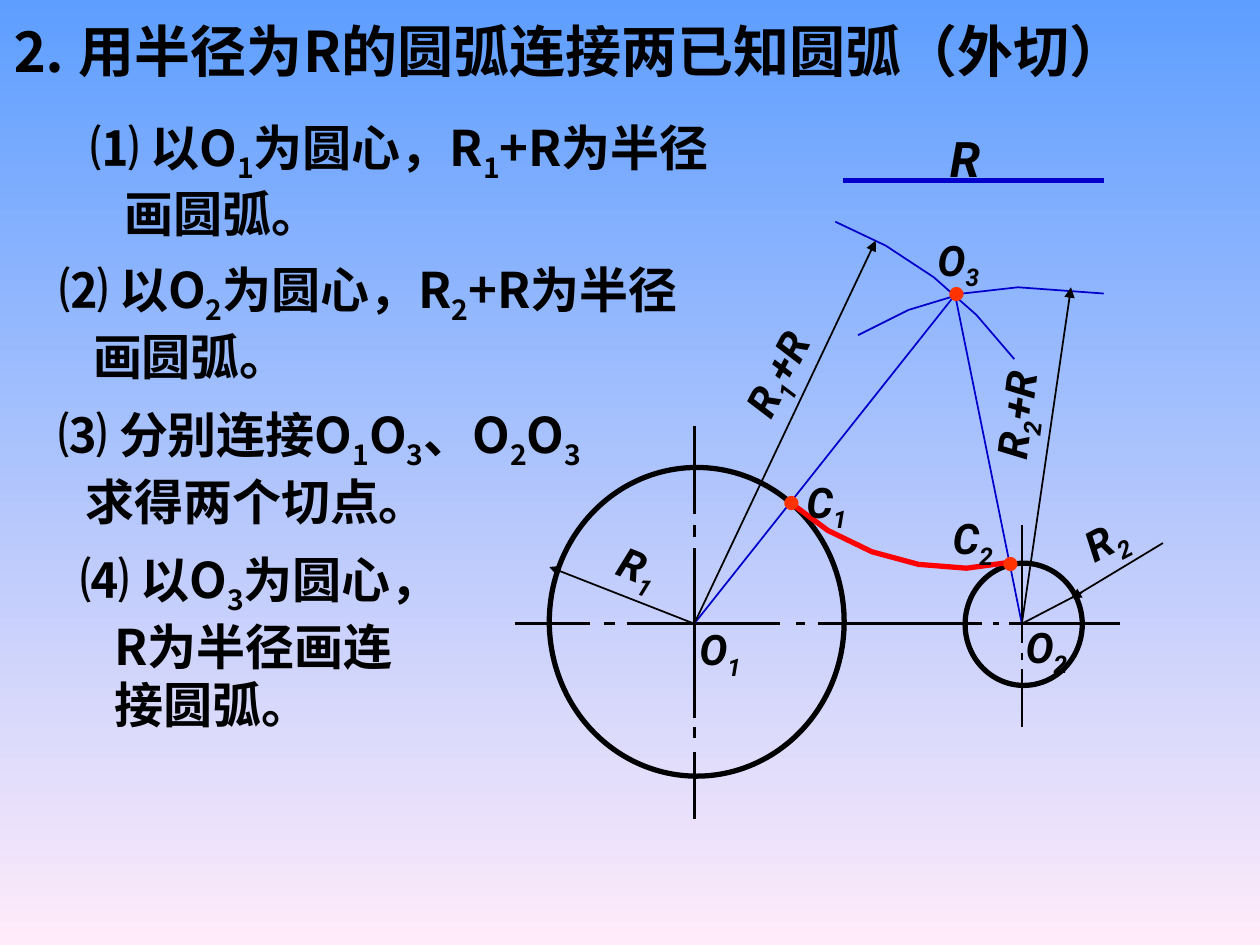
from collections import namedtuple

from lxml.etree import SubElement
from pptx import Presentation
from pptx.dml.color import RGBColor
from pptx.enum.shapes import MSO_CONNECTOR, MSO_SHAPE
from pptx.enum.text import MSO_ANCHOR, MSO_AUTO_SIZE, PP_ALIGN
from pptx.oxml.ns import qn
from pptx.util import Inches, Pt

BLACK = RGBColor(0x00, 0x00, 0x00)
BLUE = RGBColor(0x00, 0x00, 0xCC)
RED = RGBColor(0xFF, 0x00, 0x00)
DOT_RED = RGBColor(0xFF, 0x33, 0x00)
SKY = RGBColor(0x5E, 0x9E, 0xFF)
PINK = RGBColor(0xFF, 0xEB, 0xFA)
CHINESE, LATIN = "Noto Sans CJK SC", "Roboto"

Box = namedtuple("Box", "left top width height")


def place(origin, left, top, width, height):
    """Return a box measured from the corner of the origin box."""
    return Box(origin.left + left, origin.top + top, width, height)


def add_spans(para, text, size, face, color=BLACK, italic=False):
    """Fill a paragraph, lowering each character that follows an underscore."""
    first, *rest = text.split("_")
    pieces = [(first, False)]
    for part in rest:
        pieces += [(part[0], True), (part[1:], False)]
    formats = {"size": Pt(size), "name": face, "bold": True, "italic": italic}
    for piece, lowered in pieces:
        if not piece:
            continue
        span = para.add_run()
        span.text = piece
        for name, value in formats.items():
            setattr(span.font, name, value)
        span.font.color.rgb = color
        properties = span.font._element
        SubElement(properties, qn("a:ea"), typeface=face)
        if lowered:
            properties.set("baseline", "-25000")


def add_text(page, box, lines, size, face, indent=0, align=PP_ALIGN.LEFT, **look):
    """Add an unwrapped text box whose lines after the first are indented."""
    shape = page.shapes.add_textbox(*map(Inches, box))
    frame = shape.text_frame
    frame.word_wrap = False
    frame.auto_size = MSO_AUTO_SIZE.SHAPE_TO_FIT_TEXT
    for index, line in enumerate(lines):
        para = frame.add_paragraph() if index else frame.paragraphs[0]
        para.alignment = align
        if index and indent:
            para._p.get_or_add_pPr().set("marL", str(Inches(indent)))
        add_spans(para, line, size, face, **look)
    return shape


def add_label(page, box, text, size=24, angle=0):
    """Add a centred italic label of the drawing."""
    shape = add_text(page, box, [text], size, LATIN, align=PP_ALIGN.CENTER, italic=True)
    shape.rotation = angle


def add_line(page, origin, start, end, color=BLACK, weight=1, arrow=False):
    """Draw a straight line, with an arrowhead at its end if asked."""
    ends = [Inches(base + step) for point in (start, end) for base, step in zip(origin, point)]
    line = page.shapes.add_connector(MSO_CONNECTOR.STRAIGHT, *ends)
    line.line.color.rgb = color
    line.line.width = Pt(weight)
    if arrow:
        SubElement(line.line._get_or_add_ln(), qn("a:tailEnd"), type="triangle", w="med", len="med")
    SubElement(line._element.spPr, qn("a:effectLst"))


def add_arc(page, origin, points, color, weight):
    """Draw an open arc through the points."""
    start, *rest = [(Inches(origin.left + x), Inches(origin.top + y)) for x, y in points]
    builder = page.shapes.build_freeform(*start)
    builder.add_line_segments(rest, close=False)
    outline(builder.convert_to_shape(), color, weight)


def outline(shape, color, weight):
    """Leave a shape unfilled with a plain outline."""
    shape.shadow.inherit = False
    shape.fill.background()
    shape.line.color.rgb = color
    shape.line.width = Pt(weight)


def paint_background(page):
    """Fill the page with a gradient running downwards."""
    fill = page.background.fill
    fill.gradient()
    fill.gradient_angle = 270
    for stop, color, position in zip(fill.gradient_stops, (SKY, PINK), (0, 1)):
        stop.color.rgb = color
        stop.position = position


def write_title(page, box):
    """Place and format the title."""
    title = page.shapes.title
    for name, value in zip(box._fields, box):
        setattr(title, name, Inches(value))
    frame = title.text_frame
    frame.word_wrap = True
    frame.auto_size = MSO_AUTO_SIZE.NONE
    frame.vertical_anchor = MSO_ANCHOR.TOP
    para = frame.paragraphs[0]
    para.alignment = PP_ALIGN.LEFT
    add_spans(para, "⒉ 用半径为R的圆弧连接两已知圆弧（外切）", 32, CHINESE)


def write_steps(page, box):
    """Write the four construction steps."""
    steps = [
        ((0.25, 0, 6.05, 1.1), 0.27, ["⑴ 以O_1为圆心，R_1+R为半径", "画圆弧。"]),
        ((0, 1.13, 5.48, 1.1), 0.27, ["⑵ 以O_2为圆心，R_2+R为半径", "画圆弧。"]),
        ((0, 2.28, 4.67, 1.16), 0.21, ["⑶ 分别连接O_1O_3、O_2O_3", "求得两个切点。"]),
        ((0.17, 3.43, 3.23, 1.57), 0.27, ["⑷ 以O_3为圆心，", "R为半径画连", "接圆弧。"]),
    ]
    for bounds, indent, lines in steps:
        add_text(page, place(box, *bounds), lines, 28, CHINESE, indent=indent)


def draw_given_radius(page, box):
    """Draw the given radius R as a labelled line."""
    add_label(page, place(box, 0.75, 0, 0.43, 0.57), "R", 28)
    add_line(page, box[:2], (0, 0.46), (box.width, 0.46), BLUE, 3)


def draw_circles(page, box, first, second):
    """Draw both known circles with their dashed centre lines."""
    for bounds in ((0.36, 2.71, 2.34, 2.45), (3.66, 3.47, 0.93, 0.97)):
        circle = page.shapes.add_shape(MSO_SHAPE.OVAL, *map(Inches, place(box, *bounds)))
        outline(circle, BLACK, 3)
    across = [(0.09, 0.68), (0.79, 0.88), (0.98, 2.19), (2.32, 2.39),
              (2.49, 3.79), (3.88, 3.93), (4.01, 4.89)]
    down = {
        first[0]: [(2.38, 3.08), (3.17, 3.26), (3.35, 4.7), (4.77, 4.86), (4.97, 5.5)],
        second[0]: [(3.17, 4.1), (4.18, 4.24), (4.31, 4.77)],
    }
    for start, end in across:
        add_line(page, box[:2], (start, first[1]), (end, first[1]), weight=1.5)
    for x, dashes in down.items():
        for start, end in dashes:
            add_line(page, box[:2], (x, start), (x, end), weight=1.5)


def draw_construction(page, box):
    """Draw the circles, construction lines, joining arc and labels."""
    first, second, third = (1.51, 3.95), (4.11, 3.95), (3.58, 1.34)
    draw_circles(page, box, first, second)
    for points, color, weight in (
        ([(4.76, 1.33), (4.08, 1.28), (3.64, 1.33), (3.21, 1.46), (2.81, 1.66)], BLUE, 1),
        ([(4.05, 1.85), (3.75, 1.5), (3.41, 1.2), (3.03, 0.95), (2.63, 0.76)], BLUE, 1),
        ([(2.26, 2.98), (2.57, 3.21), (2.92, 3.38), (3.29, 3.48), (3.67, 3.51), (4.04, 3.46)], RED, 3),
    ):
        add_arc(page, box, points, color, weight)
    for centre in (first, second):
        add_line(page, box[:2], centre, third, BLUE)
    add_line(page, box[:2], second, (4.59, 3.7))
    for start, end in ((first, (0.36, 3.5)), (first, (2.95, 0.91)),
                       (second, (4.5, 1.28)), ((5.23, 3.31), (4.5, 3.75))):
        add_line(page, box[:2], start, end, arrow=True)
    for text, left, top, width, angle in (
        ("O_1", 1.44, 3.9, 0.55, 0),
        ("O_2", 4.03, 3.88, 0.55, 0),
        ("O_3", 3.33, 0.81, 0.55, 0),
        ("C_1", 2.26, 2.73, 0.6, 0),
        ("C_2", 3.42, 3.02, 0.6, 0),
        ("R_1", 0.76, 3.24, 0.6, 21.8),
        ("R_2", 4.48, 3.03, 0.6, 332.4),
        ("R_1+R", 1.74, 1.7, 0.9, 297.5),
        ("R_2+R", 3.42, 2.02, 1.34, 277),
    ):
        add_label(page, place(box, left, top, width, 0.56), text, angle=angle)
    for left, top in ((2.12, 2.87), (3.86, 3.35), (3.43, 1.21)):
        add_text(page, place(box, left, top, 0.31, 0.25), ["●"], 9, CHINESE,
                 align=PP_ALIGN.CENTER, color=DOT_RED)


def main():
    """Build the slide and save the deck."""
    deck = Presentation()
    deck.slide_width, deck.slide_height = Inches(10), Inches(7.5)
    page = deck.slides.add_slide(deck.slide_layouts[5])
    paint_background(page)
    write_title(page, Box(-0.02, 0.08, 9.53, 0.64))
    write_steps(page, Box(0.37, 0.88, 6.3, 5))
    draw_given_radius(page, Box(6.69, 0.97, 2.07, 0.57))
    draw_construction(page, Box(4, 1, 5.3, 5.5))
    deck.save("out.pptx")


if __name__ == "__main__":
    main()
